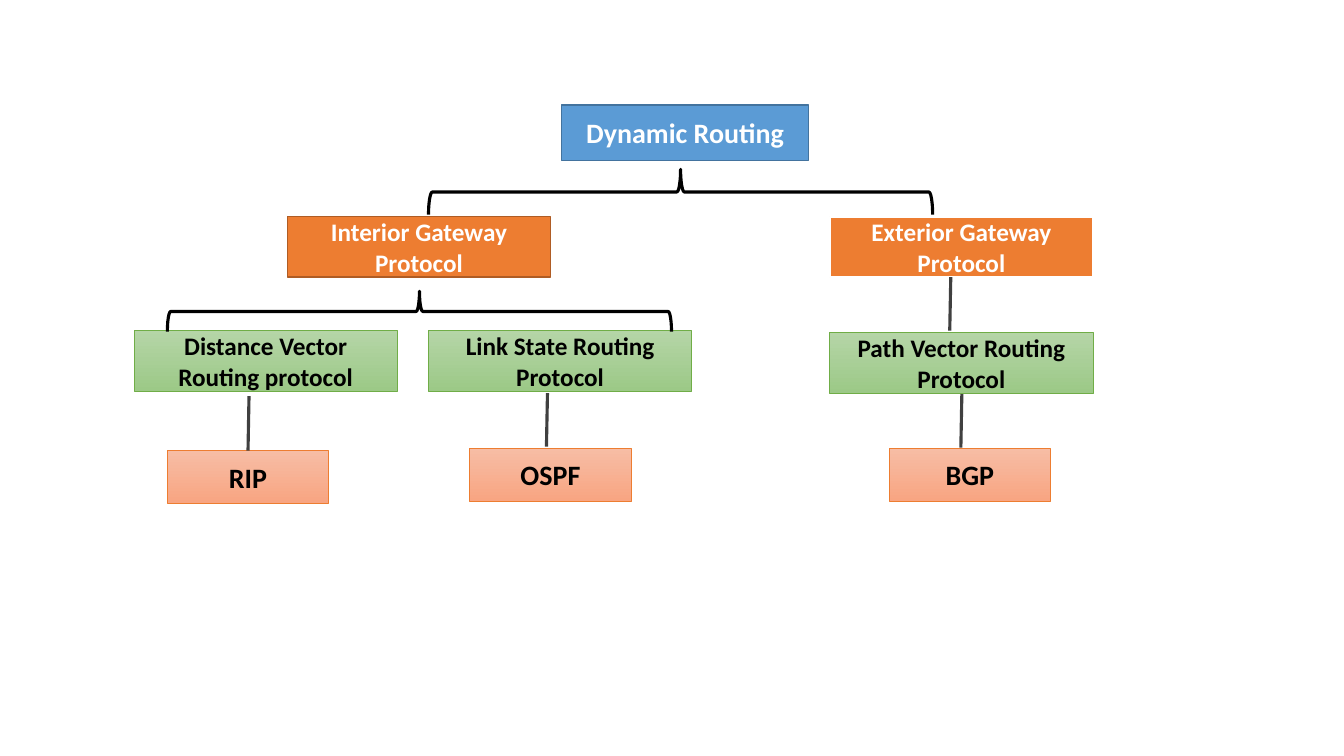
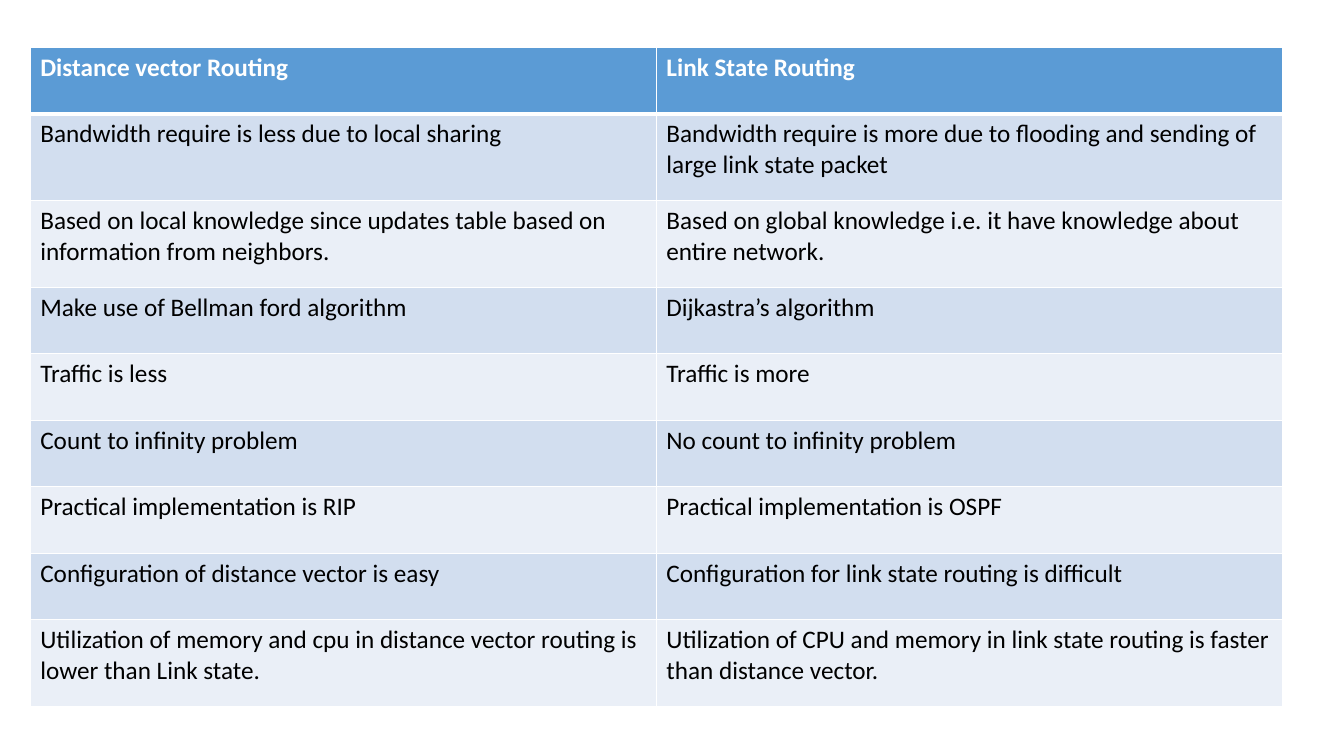
from dataclasses import dataclass

from lxml import etree
from pptx import Presentation
from pptx.dml.color import RGBColor
from pptx.enum.shapes import MSO_CONNECTOR, MSO_SHAPE
from pptx.enum.text import MSO_ANCHOR, PP_ALIGN
from pptx.oxml.ns import qn
from pptx.util import Pt

RECTANGLE, BRACE = MSO_SHAPE.RECTANGLE, MSO_SHAPE.LEFT_BRACE
STRAIGHT = MSO_CONNECTOR.STRAIGHT
CENTER, LEFT = PP_ALIGN.CENTER, PP_ALIGN.LEFT
MIDDLE, TOP = MSO_ANCHOR.MIDDLE, MSO_ANCHOR.TOP

# Colours and font
WHITE = RGBColor(0xFF, 0xFF, 0xFF)
BLACK = RGBColor(0x00, 0x00, 0x00)
DARK_GREY = RGBColor(0x40, 0x40, 0x40)
BLUE = RGBColor(0x5B, 0x9B, 0xD5)
DARK_BLUE = RGBColor(0x43, 0x73, 0x9E)
ORANGE = RGBColor(0xED, 0x7D, 0x31)
DARK_ORANGE = RGBColor(0xAF, 0x5C, 0x24)
GREEN = RGBColor(0x70, 0xAD, 0x47)
GREEN_TOP = RGBColor(0xB5, 0xD5, 0xA7)
GREEN_BOTTOM = RGBColor(0x9C, 0xC9, 0x87)
PEACH_TOP = RGBColor(0xF7, 0xBD, 0xA5)
PEACH_BOTTOM = RGBColor(0xF8, 0xA5, 0x82)
BAND_DARK = RGBColor(0xD2, 0xDE, 0xEF)
BAND_LIGHT = RGBColor(0xEA, 0xEF, 0xF7)
FONT = "Calibri"

PX = 9144  # 100 px to the inch
BLANK_LAYOUT = 6


@dataclass
class BoxStyle:
    width: int
    height: int
    fills: tuple  # one colour, or the top and bottom of a gradient
    line: RGBColor
    line_width: float
    size: int
    color: RGBColor


ROOT = BoxStyle(245, 55, (BLUE,), DARK_BLUE, 1, 20, WHITE)
INTERIOR = BoxStyle(261, 60, (ORANGE,), DARK_ORANGE, 1, 18, WHITE)
EXTERIOR = BoxStyle(261, 60, (ORANGE,), WHITE, 1.5, 18, WHITE)
METHOD = BoxStyle(261, 60, (GREEN_TOP, GREEN_BOTTOM), GREEN, 0.5, 18, BLACK)
PROTOCOL = BoxStyle(160, 52, (PEACH_TOP, PEACH_BOTTOM), ORANGE, 0.5, 20, BLACK)

# Text, left, top and style of each box, relative to the chart
BOXES = [
    ("Dynamic Routing", 424, 0, ROOT),
    ("Interior Gateway Protocol", 152, 111, INTERIOR),
    ("Exterior Gateway Protocol", 690, 111, EXTERIOR),
    ("Distance Vector Routing protocol", 0, 224, METHOD),
    ("Link State Routing Protocol", 292, 224, METHOD),
    ("Path Vector Routing Protocol", 690, 226, METHOD),
    ("RIP", 33, 343, PROTOCOL),
    ("OSPF", 333, 341, PROTOCOL),
    ("BGP", 749, 341, PROTOCOL),
]
# Left, top and height of each brace
BRACES = [(292, 64, 45), (33, 185, 40)]
BRACE_WIDTH = 500
# Start of each link and the box whose top it joins, if any
LINKS = [(810, 171, None), (821, 287, None), (410, 286, None), (114, 289, "RIP")]
LINK_DROP = 53

HEADER = ("Distance vector Routing", "Link State Routing")
COMPARISON = [
    ("Bandwidth require is less due to local sharing",
     "Bandwidth require is more due to flooding and sending of large link state packet"),
    ("Based on local knowledge since updates table based on information from neighbors.",
     "Based on global knowledge i.e. it have knowledge about entire network."),
    ("Make use of Bellman ford algorithm", "Dijkastra’s algorithm"),
    ("Traffic is less", "Traffic is more"),
    ("Count to infinity problem", "No count to infinity problem"),
    ("Practical implementation is RIP", "Practical implementation is OSPF"),
    ("Configuration of distance vector is easy",
     "Configuration for link state routing is difficult"),
    ("Utilization of memory and cpu in distance vector routing is lower than Link state.",
     "Utilization of CPU and memory in link state routing is faster than distance vector."),
]
TALL_ROWS = {1, 2, 8}


def px(*lengths):
    return [round(length * PX) for length in lengths]


def write(text_frame, text, size, color, bold, align):
    text_frame.text = text
    paragraph = text_frame.paragraphs[0]
    paragraph.alignment = align
    font = paragraph.runs[0].font
    font.name, font.size, font.bold = FONT, Pt(size), bold
    font.color.rgb = color


def set_line(line, color, width):
    line.color.rgb = color
    line.width = Pt(width)


def add_box(slide, text, left, top, style):
    shape = slide.shapes.add_shape(RECTANGLE, *px(left, top, style.width, style.height))
    shape.shadow.inherit = False
    if len(style.fills) == 1:
        shape.fill.solid()
        shape.fill.fore_color.rgb = style.fills[0]
    else:
        shape.fill.gradient()
        shape.fill.gradient_angle = 270
        for stop, color in zip(shape.fill.gradient_stops, style.fills):
            stop.color.rgb = color
    set_line(shape.line, style.line, style.line_width)
    shape.text_frame.vertical_anchor = MIDDLE
    write(shape.text_frame, text, style.size, style.color, True, CENTER)
    return shape


def add_brace(slide, left, top, width, height):
    """Draw a brace that points up and fills the given box once turned."""
    shift = (width - height) / 2
    shape = slide.shapes.add_shape(BRACE, *px(left + shift, top - shift, height, width))
    shape.rotation = 90
    shape.shadow.inherit = False
    shape.fill.background()
    set_line(shape.line, BLACK, 2.25)


def add_link(slide, left, top, target):
    connector = slide.shapes.add_connector(
        STRAIGHT, *px(left, top, left - 1, top + LINK_DROP))
    set_line(connector.line, DARK_GREY, 2.25)
    etree.SubElement(connector._element.spPr, qn("a:effectLst"))
    if target is not None:
        connector.end_connect(target, 0)


def add_routing_tree(slide, left, top):
    boxes = {text: add_box(slide, text, left + x, top + y, style)
             for text, x, y, style in BOXES}
    for x, y, height in BRACES:
        add_brace(slide, left + x, top + y, BRACE_WIDTH, height)
    for x, y, target in LINKS:
        add_link(slide, left + x, top + y, boxes.get(target))


def set_borders(cell, top_width, bottom_width):
    properties = cell._tc.get_or_add_tcPr()
    widths = {"a:lnL": 1, "a:lnR": 1, "a:lnT": top_width, "a:lnB": bottom_width}
    for tag, width in widths.items():
        border = etree.SubElement(properties, qn(tag), w=str(Pt(width)))
        fill = etree.SubElement(border, qn("a:solidFill"))
        etree.SubElement(fill, qn("a:srgbClr"), val=str(WHITE))


def add_comparison_table(slide, left, top, width):
    rows = [HEADER, *COMPARISON]
    heights = [86 if index in TALL_ROWS else 66 for index in range(len(rows))]
    table = slide.shapes.add_table(
        len(rows), len(HEADER), *px(left, top, width, sum(heights))).table
    for row_index, (texts, height) in enumerate(zip(rows, heights)):
        table.rows[row_index].height = px(height)[0]
        is_header = row_index == 0
        band = BLUE if is_header else BAND_DARK if row_index % 2 else BAND_LIGHT
        for column_index, text in enumerate(texts):
            cell = table.cell(row_index, column_index)
            set_borders(cell, 3 if row_index == 1 else 1, 3 if is_header else 1)
            cell.fill.solid()
            cell.fill.fore_color.rgb = band
            cell.vertical_anchor = TOP
            write(cell.text_frame, text, 18, WHITE if is_header else BLACK,
                  is_header, LEFT)


def main():
    presentation = Presentation()
    presentation.slide_width, presentation.slide_height = px(1333, 750)
    layout = presentation.slide_layouts[BLANK_LAYOUT]

    # Tree of routing protocols
    add_routing_tree(presentation.slides.add_slide(layout), 133, 104)
    # Distance vector against link state
    add_comparison_table(presentation.slides.add_slide(layout), 30, 47, 1242)

    presentation.save("out.pptx")


if __name__ == "__main__":
    main()
